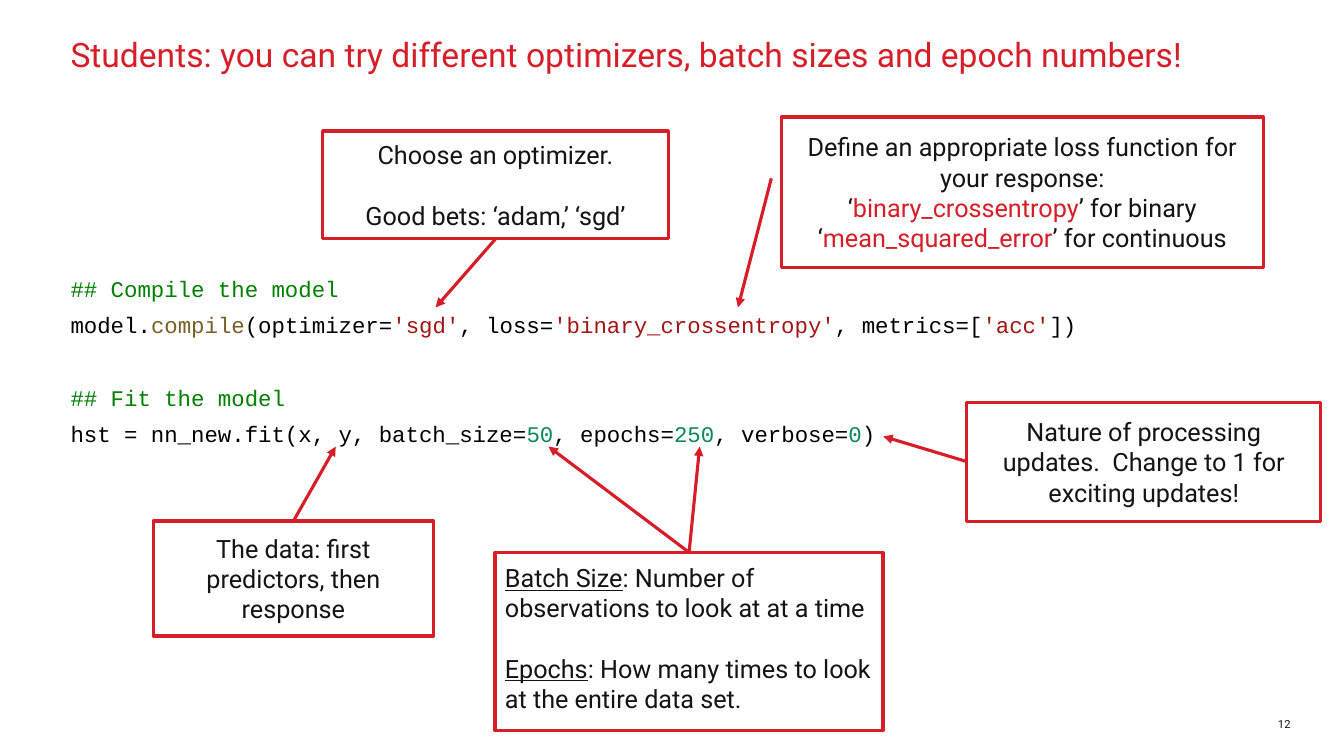
from dataclasses import dataclass
from typing import Optional

from lxml import etree
from pptx import Presentation
from pptx import util as u
from pptx.dml.color import RGBColor
from pptx.enum import shapes, text
from pptx.oxml.ns import qn


@dataclass(frozen=True)
class Theme:
    red: str = "D71E28"
    ink: str = "141414"
    black: str = "000000"
    note: str = "008000"
    call: str = "795E26"
    quote: str = "A31515"
    digit: str = "09885A"
    sans: str = "Roboto"
    mono: str = "Courier New"
    title: int = 24
    label: int = 18
    code: int = 16
    page: int = 8
    rule: float = 2.25


T = Theme()


@dataclass(frozen=True)
class Run:
    text: str
    color: Optional[str] = None
    under: bool = False


@dataclass(frozen=True)
class Line:
    runs: tuple[Run, ...]
    color: str = T.ink
    gap: float = 0


@dataclass(frozen=True)
class Area:
    """Columns and rows of a 100 by 100 grid."""
    col: float
    row: float
    cols: float
    rows: float


@dataclass(frozen=True)
class Look:
    font: str = T.sans
    size: int = T.label
    align: text.PP_ALIGN = text.PP_ALIGN.LEFT
    anchor: text.MSO_ANCHOR = text.MSO_ANCHOR.TOP
    pitch: float = 1.0
    inset: float = 0


@dataclass(frozen=True)
class Box:
    area: Area
    look: Look
    lines: tuple[Line, ...]


@dataclass(frozen=True)
class Arrow:
    end: tuple[float, float]
    box: Optional[str] = None
    side: int = 0
    start: tuple[float, float] = (0, 0)


def line(*runs: Run | str, color: str = T.ink, gap: float = 0) -> Line:
    return Line(tuple(Run(r) if isinstance(r, str) else r for r in runs), color, gap)


# Looks
MID = Look(align=text.PP_ALIGN.CENTER, anchor=text.MSO_ANCHOR.MIDDLE, inset=0.1)
LEFT = Look(inset=0.1)
CODE = Look(T.mono, T.code, pitch=1.36)
PAGE = Look(size=T.page, align=text.PP_ALIGN.RIGHT, anchor=text.MSO_ANCHOR.BOTTOM)
HEAD = Look(size=T.title, pitch=0.9)

# Plain text
TEXTS = (
    Box(Area(5.25, 5.07, 92.05, 14.67), HEAD, (
        line("Students: you can try different optimizers, batch sizes and epoch numbers!",
             color=T.red),)),
    Box(Area(5.25, 35.07, 92.05, 64.9), CODE, (
        line("## Compile the model", color=T.note),
        line("model.", Run("compile", T.call), "(optimizer=", Run("'sgd'", T.quote),
             ", loss=", Run("'binary_crossentropy'", T.quote),
             ", metrics=[", Run("'acc'", T.quote), "])", color=T.black),
        line("## Fit the model", color=T.note, gap=25.7),
        line("hst = nn_new.fit(x, y, batch_size=", Run("50", T.digit),
             ", epochs=", Run("250", T.digit),
             ", verbose=", Run("0", T.digit), ")", color=T.black))),
    Box(Area(92.05, 93.33, 3.98, 3.33), PAGE, (line("12"),)),
)

# Framed notes
NOTES = {
    "optimizer": Box(Area(24.01, 17.33, 25.73, 14.27), MID, (
        line("Choose an optimizer."),
        line("Good bets: ‘adam,’ ‘sgd’", gap=21.5))),
    "loss": Box(Area(58.14, 15.47, 35.86, 19.87), MID, (
        line("Define an appropriate loss function for your response:"),
        line("‘", Run("binary_crossentropy", T.red), "’ for binary"),
        line("‘", Run("mean_squared_error", T.red), "’ for continuous"))),
    "data": Box(Area(11.4, 68.93, 20.86, 15.2), MID, (
        line("The data: first predictors, then response"),)),
    "batch": Box(Area(36.83, 73.07, 28.88, 23.6), LEFT, (
        line(Run("Batch Size", under=True), ": Number of observations to look at at a time"),
        line(Run("Epochs", under=True), ": How many times to look at the entire data set.",
             gap=21.5))),
    "verbose": Box(Area(71.94, 53.2, 26.33, 15.73), MID, (
        line("Nature of processing updates.  Change to 1 for exciting updates!"),)),
}

# Arrows from notes to code
ARROWS = (
    Arrow((32.41, 40.67), "optimizer", 2),
    Arrow((54.91, 40.67), start=(57.39, 23.6)),
    Arrow((24.98, 59.07), "data", 0),
    Arrow((40.81, 59.07), "batch", 0),
    Arrow((52.06, 59.07), "batch", 0),
    Arrow((65.72, 57.73), "verbose", 1),
)

deck = Presentation()
deck.slide_width, deck.slide_height = u.Inches(13.33), u.Inches(7.5)
slide = deck.slides.add_slide(deck.slide_layouts[6])


def across(cols: float) -> int:
    return round(deck.slide_width * cols / 100)


def down(rows: float) -> int:
    return round(deck.slide_height * rows / 100)


def place(area: Area) -> tuple[int, int, int, int]:
    return across(area.col), down(area.row), across(area.cols), down(area.rows)


def write(shape, box: Box) -> None:
    frame, look = shape.text_frame, box.look
    frame.word_wrap = True
    frame.vertical_anchor = look.anchor
    frame.margin_left = frame.margin_right = u.Inches(look.inset)
    frame.margin_top = frame.margin_bottom = u.Inches(look.inset)
    for i, item in enumerate(box.lines):
        para = frame.add_paragraph() if i else frame.paragraphs[0]
        para.alignment, para.line_spacing = look.align, look.pitch
        if item.gap:
            para.space_before = u.Pt(item.gap)
        para.font.name, para.font.size = look.font, u.Pt(look.size)
        para.font.color.rgb = RGBColor.from_string(item.color)
        for part in item.runs:
            run = para.add_run()
            run.text = part.text
            if part.color:
                run.font.color.rgb = RGBColor.from_string(part.color)
            if part.under:
                run.font.underline = True


def stroke(edge) -> None:
    edge.color.rgb = RGBColor.from_string(T.red)
    edge.width = u.Pt(T.rule)


def note(box: Box):
    shape = slide.shapes.add_shape(shapes.MSO_SHAPE.RECTANGLE, *place(box.area))
    shape.shadow.inherit = False
    shape.fill.background()
    stroke(shape.line)
    write(shape, box)
    return shape


def point(arrow: Arrow, frames: dict) -> None:
    link = slide.shapes.add_connector(
        shapes.MSO_CONNECTOR.STRAIGHT, across(arrow.start[0]), down(arrow.start[1]),
        across(arrow.end[0]), down(arrow.end[1]))
    if arrow.box:
        link.begin_connect(frames[arrow.box], arrow.side)
    stroke(link.line)
    etree.SubElement(link.line._get_or_add_ln(), qn("a:tailEnd"), type="triangle")
    etree.SubElement(link._element.spPr, qn("a:effectLst"))


for box in TEXTS:
    write(slide.shapes.add_textbox(*place(box.area)), box)
frames = {name: note(box) for name, box in NOTES.items()}
for arrow in ARROWS:
    point(arrow, frames)

deck.save("out.pptx")
